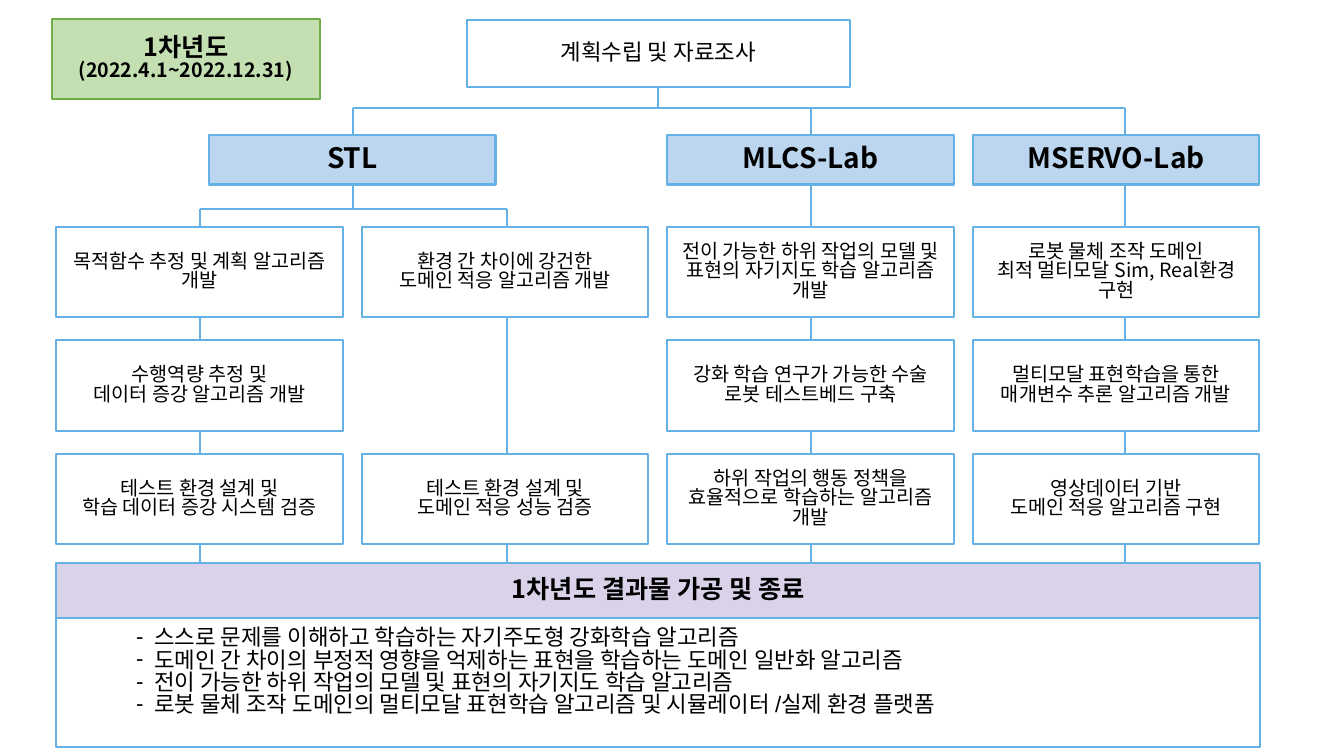
from lxml import etree
from pptx import Presentation
from pptx.dml.color import RGBColor
from pptx.enum.shapes import MSO_CONNECTOR as LINK, MSO_SHAPE as SHAPE
from pptx.enum.text import MSO_ANCHOR as ANCHOR, MSO_AUTO_SIZE as FIT, PP_ALIGN as ALIGN
from pptx.oxml.ns import qn
from pptx.util import Inches, Pt

BLACK = RGBColor(0x00, 0x00, 0x00)
WHITE = RGBColor(0xFF, 0xFF, 0xFF)
SKY = RGBColor(0x64, 0xB1, 0xE6)
PALE_BLUE = RGBColor(0xBB, 0xD6, 0xEE)
LILAC = RGBColor(0xD9, 0xD2, 0xE9)
PALE_GREEN = RGBColor(0xC4, 0xE0, 0xB2)
GREEN = RGBColor(0x70, 0xAD, 0x47)
NOTO, ARIAL = "Noto Sans CJK KR", "Arial"

# Grid of task boxes, in inches
LEFT, COLUMN_STEP, TASK_WIDTH = 0.56, 3.03, 2.84
TOP, ROW_STEP, TASK_HEIGHT = 2.25, 1.125, 0.9
LAB_TOP, LAB_HEIGHT = 1.34, 0.49
RESULT_TOP, RESULT_WIDTH, RESULT_HEIGHT = 5.59, 11.94, 0.54
LAB_BUS, STL_BUS = 1.07, 2.07
PLAN_X, STL_X = 6.53, 3.5
TRUNKS = [1.98, 5.03, 8.04, 11.16]

deck = Presentation()
deck.slide_width, deck.slide_height = Inches(13.33), Inches(7.5)
page = deck.slides.add_slide(deck.slide_layouts[1])


def style_box(box, at, lines, size, fill=WHITE, border=SKY, face=NOTO, bold=False):
    """Place a box, colour it and fill it with one centred paragraph per line."""
    box.left, box.top, box.width, box.height = map(Inches, at)
    box.shadow.inherit = False
    box.fill.solid()
    box.fill.fore_color.rgb = fill
    box.line.color.rgb = border
    box.line.width = Pt(1.5)
    frame = box.text_frame
    frame_format = {
        "word_wrap": True, "auto_size": FIT.NONE, "vertical_anchor": ANCHOR.MIDDLE,
        "margin_left": Inches(0.1), "margin_right": Inches(0.1),
        "margin_top": Inches(0.05), "margin_bottom": Inches(0.05),
    }
    for name, value in frame_format.items():
        setattr(frame, name, value)
    for number, line in enumerate(lines):
        para = frame.add_paragraph() if number else frame.paragraphs[0]
        para.alignment = ALIGN.CENTER
        para.line_spacing = 0.83
        para.space_before = Pt(0)
        span = para.add_run()
        span.text = line
        for name, value in {"name": face, "size": Pt(size), "bold": bold}.items():
            setattr(span.font, name, value)
        span.font.color.rgb = BLACK
        east_asian = etree.SubElement(span.font._element, qn("a:ea"))
        east_asian.set("typeface", NOTO)


def new_box():
    return page.shapes.add_shape(SHAPE.RECTANGLE, 0, 0, 0, 0)


# Connecting lines, behind the boxes
links = [
    (PLAN_X, 0.86, PLAN_X, LAB_BUS),
    (STL_X, LAB_BUS, TRUNKS[3], LAB_BUS),
    (STL_X, LAB_BUS, STL_X, STL_BUS),
    (TRUNKS[0], STL_BUS, TRUNKS[1], STL_BUS),
]
for trunk, start in zip(TRUNKS, [STL_BUS, STL_BUS, LAB_BUS, LAB_BUS]):
    links.append((trunk, start, trunk, RESULT_TOP))
for ends in links:
    link = page.shapes.add_connector(LINK.STRAIGHT, *map(Inches, ends))
    link.line.color.rgb = SKY
    link.line.width = Pt(1.5)
    etree.SubElement(link._element.spPr, qn("a:effectLst"))

# Year and planning boxes
year = page.shapes.title
style_box(year, (0.52, 0.19, 2.65, 0.79), ["1차년도", "(2022.4.1~2022.12.31)"], 18,
          fill=PALE_GREEN, border=GREEN, bold=True)
year.text_frame.paragraphs[1].runs[0].font.size = Pt(14)
style_box(new_box(), (4.63, 0.2, 3.8, 0.66), ["계획수립 및 자료조사"], 16)

# Labs, the first one centred over two columns
for lab, column in [("STL", 0.5), ("MLCS-Lab", 2), ("MSERVO-Lab", 3)]:
    place = (LEFT + column * COLUMN_STEP, LAB_TOP, TASK_WIDTH, LAB_HEIGHT)
    style_box(new_box(), place, [lab], 20, fill=PALE_BLUE, bold=True)

# Tasks by (column, row)
tasks = {
    (0, 0): ["목적함수 추정 및 계획 알고리즘 개발"],
    (0, 1): ["수행역량 추정 및", "데이터 증강 알고리즘 개발"],
    (0, 2): ["테스트 환경 설계 및", "학습 데이터 증강 시스템 검증"],
    (1, 0): ["환경 간 차이에 강건한", "도메인 적응 알고리즘 개발"],
    (1, 2): ["테스트 환경 설계 및", "도메인 적응 성능 검증"],
    (2, 0): ["전이 가능한 하위 작업의 모델 및 표현의 자기지도 학습 알고리즘 개발"],
    (2, 1): ["강화 학습 연구가 가능한 수술 로봇 테스트베드 구축"],
    (2, 2): ["하위 작업의 행동 정책을 효율적으로 학습하는 알고리즘 개발"],
    (3, 0): ["로봇 물체 조작 도메인", "최적 멀티모달 Sim, Real환경 구현"],
    (3, 1): ["멀티모달 표현학습을 통한 매개변수 추론 알고리즘 개발"],
    (3, 2): ["영상데이터 기반", "도메인 적응 알고리즘 구현"],
}
for (column, row), lines in tasks.items():
    place = (LEFT + column * COLUMN_STEP, TOP + row * ROW_STEP, TASK_WIDTH, TASK_HEIGHT)
    style_box(new_box(), place, lines, 14, face=ARIAL if column == 2 else NOTO)

# Results
style_box(new_box(), (LEFT, RESULT_TOP, RESULT_WIDTH, RESULT_HEIGHT),
          ["1차년도 결과물 가공 및 종료"], 18, fill=LILAC, bold=True)
results = page.placeholders[1]
style_box(results, (LEFT, RESULT_TOP + RESULT_HEIGHT, RESULT_WIDTH, 1.28), [
    "스스로 문제를 이해하고 학습하는 자기주도형 강화학습 알고리즘",
    "도메인 간 차이의 부정적 영향을 억제하는 표현을 학습하는 도메인 일반화 알고리즘",
    "전이 가능한 하위 작업의 모델 및 표현의 자기지도 학습 알고리즘",
    "로봇 물체 조작 도메인의 멀티모달 표현학습 알고리즘 및 시뮬레이터 /실제 환경 플랫폼",
], 16, face=ARIAL)
results_format = {
    "vertical_anchor": ANCHOR.TOP, "margin_left": Inches(0.79),
    "margin_right": Inches(0.79), "margin_top": Inches(0.1), "margin_bottom": Inches(0.1),
}
for name, value in results_format.items():
    setattr(results.text_frame, name, value)
for para in results.text_frame.paragraphs:
    para.alignment = ALIGN.LEFT
    properties = para._p.get_or_add_pPr()
    properties.set("marL", str(Inches(0.18)))
    properties.set("indent", str(-Inches(0.18)))
    etree.SubElement(properties, qn("a:buFont")).set("typeface", ARIAL)
    etree.SubElement(properties, qn("a:buChar")).set("char", "-")

deck.save("out.pptx")
